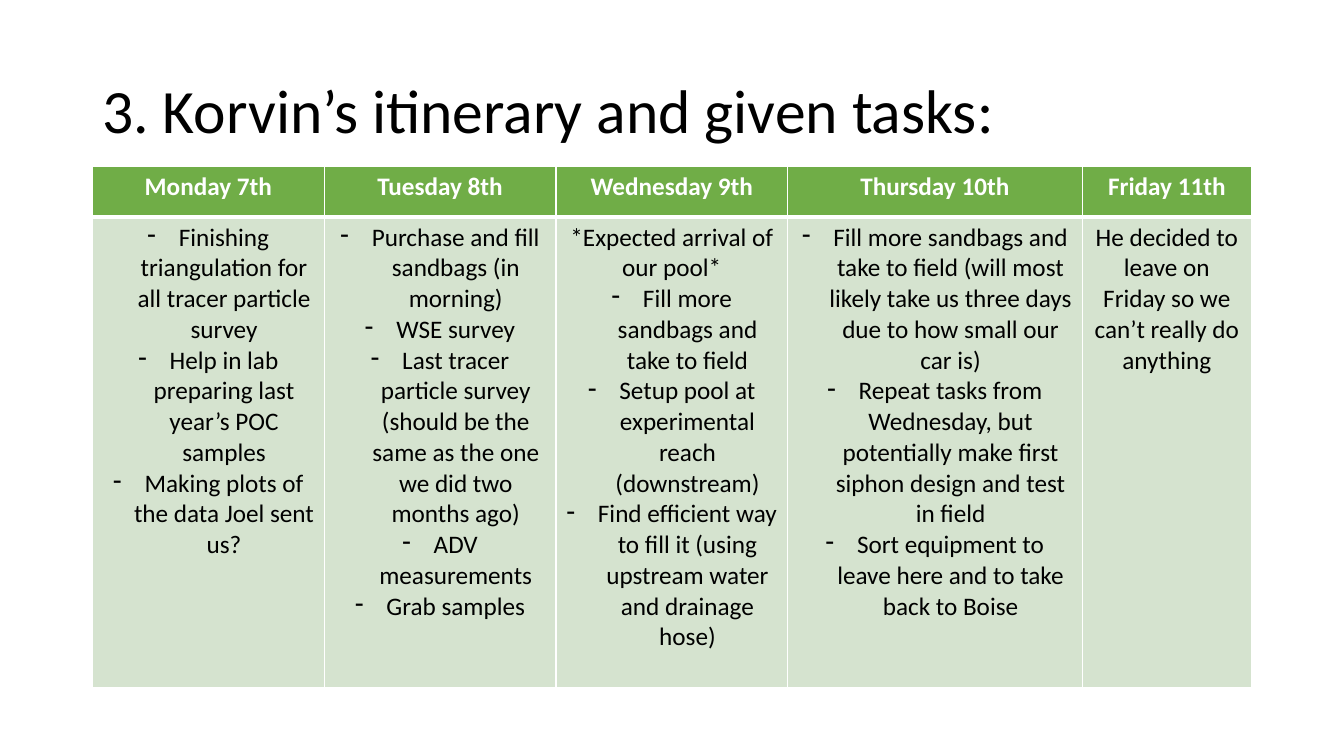
from lxml.etree import SubElement
from pptx import Presentation
from pptx.dml.color import RGBColor
from pptx.enum.text import MSO_ANCHOR, PP_ALIGN
from pptx.oxml.ns import qn
from pptx.util import Cm, Pt

WHITE, BLACK, GREEN, PALE = "FFFFFF", "000000", "70AD47", "D5E3CF"
WIDTHS = [5.84, 5.84, 5.84, 7.42, 4.27]
HEIGHTS = [1.27, 11.86]
DAYS = [
    ("Monday 7th", [
        "- Finishing triangulation for all tracer particle survey",
        "- Help in lab preparing last year’s POC samples",
        "- Making plots of the data Joel sent us?",
    ]),
    ("Tuesday 8th", [
        "- Purchase and fill sandbags (in morning)",
        "- WSE survey",
        "- Last tracer particle survey (should be the same as the one we did two months ago)",
        "- ADV measurements",
        "- Grab samples",
    ]),
    ("Wednesday 9th", [
        "*Expected arrival of our pool*",
        "- Fill more sandbags and take to field",
        "- Setup pool at experimental reach (downstream)",
        "- Find efficient way to fill it (using upstream water and drainage hose)",
    ]),
    ("Thursday 10th", [
        "- Fill more sandbags and take to field (will most likely take us three days due to how small our car is)",
        "- Repeat tasks from Wednesday, but potentially make first siphon design and test in field",
        "- Sort equipment to leave here and to take back to Boise",
    ]),
    ("Friday 11th", ["He decided to leave on Friday so we can’t really do anything"]),
]


def color(code):
    return RGBColor.from_string(code)


def write(para, text, size, code, bold=False):
    run = para.add_run()
    run.text = text
    run.font.name = "Calibri"
    run.font.size = Pt(size)
    run.font.bold = bold
    run.font.color.rgb = color(code)


def dash(para):
    props = para._p.get_or_add_pPr()
    props.set("marL", str(Cm(0.79)))
    props.set("indent", str(-Cm(0.79)))
    SubElement(props, qn("a:buFontTx"))
    SubElement(props, qn("a:buChar"), char="-")


def border(cell, top, bottom):
    props = cell._tc.get_or_add_tcPr()
    for side, width in (("L", 1), ("R", 1), ("T", top), ("B", bottom)):
        line = SubElement(props, qn("a:ln" + side), w=str(Pt(width)))
        fill = SubElement(line, qn("a:solidFill"))
        SubElement(fill, qn("a:srgbClr"), val=WHITE)


def fill_cell(cell, lines, back, ink, bold, top, bottom):
    border(cell, top, bottom)
    cell.fill.solid()
    cell.fill.fore_color.rgb = color(back)
    frame = cell.text_frame
    for i, line in enumerate(lines):
        para = frame.add_paragraph() if i else frame.paragraphs[0]
        para.alignment = PP_ALIGN.CENTER
        if line.startswith("- "):
            dash(para)
        write(para, line.removeprefix("- "), 18, ink, bold)


def add_title(slide, left, top, width, height):
    frame = slide.shapes.add_textbox(left, top, width, height).text_frame
    frame.word_wrap = True
    frame.vertical_anchor = MSO_ANCHOR.MIDDLE
    para = frame.paragraphs[0]
    para.line_spacing = 0.9
    write(para, "3. Korvin’s itinerary and given tasks:", 44, BLACK)


def add_week(slide, left, top, width, height):
    table = slide.shapes.add_table(2, len(DAYS), left, top, width, height).table
    for row, size in zip(table.rows, HEIGHTS):
        row.height = int(height * size / sum(HEIGHTS))
    for i, (day, tasks) in enumerate(DAYS):
        table.columns[i].width = int(width * WIDTHS[i] / sum(WIDTHS))
        fill_cell(table.cell(0, i), [day], GREEN, WHITE, True, 1, 3)
        fill_cell(table.cell(1, i), tasks, PALE, BLACK, False, 3, 1)


def main():
    deck = Presentation()
    deck.slide_width, deck.slide_height = Cm(33.87), Cm(19.05)
    slide = deck.slides.add_slide(deck.slide_layouts[6])
    left, width = Cm(2.33), Cm(29.21)
    add_title(slide, left, Cm(1.01), width, Cm(3.68))
    add_week(slide, left, Cm(4.2), width, Cm(sum(HEIGHTS)))
    deck.save("out.pptx")


if __name__ == "__main__":
    main()
